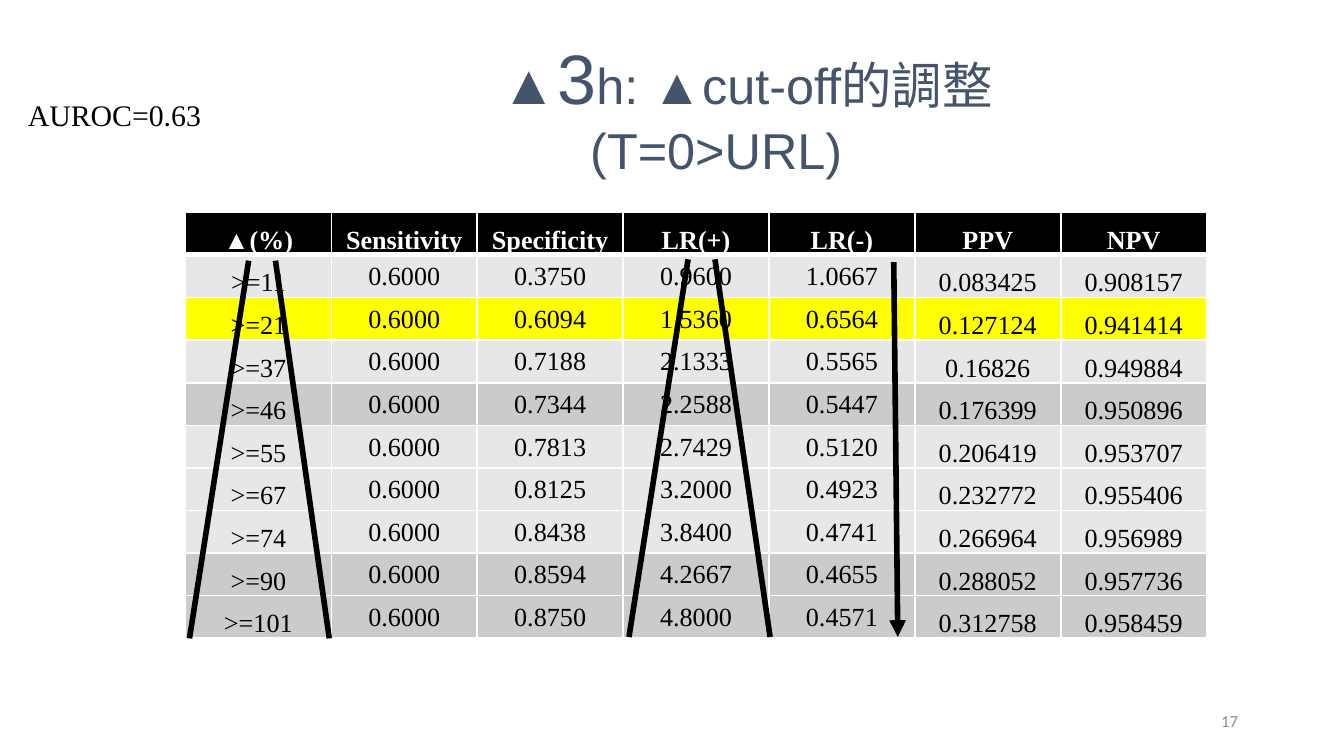
from lxml import etree
from pptx import Presentation
from pptx.dml.color import RGBColor
from pptx.enum.shapes import MSO_CONNECTOR
from pptx.enum.text import MSO_ANCHOR, PP_ALIGN
from pptx.oxml import parse_xml
from pptx.oxml.ns import nsdecls, qn
from pptx.util import Inches, Pt

CENTER, LEFT, RIGHT = PP_ALIGN.CENTER, PP_ALIGN.LEFT, PP_ALIGN.RIGHT
TOP, MIDDLE, BOTTOM = MSO_ANCHOR.TOP, MSO_ANCHOR.MIDDLE, MSO_ANCHOR.BOTTOM
STRAIGHT = MSO_CONNECTOR.STRAIGHT

SERIF, SANS, FOOTER = "Times New Roman", "Arial", "Calibri"
WHITE, BLACK, NAVY, GRAY = "FFFFFF", "000000", "44546A", "8C8C8C"
LIGHT, DARK, YELLOW = "E7E7E7", "CBCBCB", "FFFF00"

TITLE = [
    [("▲", 30), ("3", 37.5), ("h: ▲cut-off的調整", 27)],
    [("(T=0>URL)", 27)],
]
HEADER = ["▲(%)", "Sensitivity", "Specificity", "LR(+)", "LR(-)", "PPV", "NPV"]
CUTOFFS = [
    (LIGHT, ">=11", "0.6000", "0.3750", "0.9600", "1.0667", "0.083425", "0.908157"),
    (YELLOW, ">=21", "0.6000", "0.6094", "1.5360", "0.6564", "0.127124", "0.941414"),
    (LIGHT, ">=37", "0.6000", "0.7188", "2.1333", "0.5565", "0.16826", "0.949884"),
    (DARK, ">=46", "0.6000", "0.7344", "2.2588", "0.5447", "0.176399", "0.950896"),
    (LIGHT, ">=55", "0.6000", "0.7813", "2.7429", "0.5120", "0.206419", "0.953707"),
    (LIGHT, ">=67", "0.6000", "0.8125", "3.2000", "0.4923", "0.232772", "0.955406"),
    (LIGHT, ">=74", "0.6000", "0.8438", "3.8400", "0.4741", "0.266964", "0.956989"),
    (DARK, ">=90", "0.6000", "0.8594", "4.2667", "0.4655", "0.288052", "0.957736"),
    (DARK, ">=101", "0.6000", "0.8750", "4.8000", "0.4571", "0.312758", "0.958459"),
]
MIDDLE_COLUMNS = range(1, 5)
WEDGES = [
    [((5.12, 1.93), (4.68, 4.74)), ((5.32, 1.93), (5.73, 4.74))],
    [((1.85, 1.94), (1.41, 4.75)), ((2.05, 1.94), (2.45, 4.75))],
]
FALLING_ARROW = ((6.65, 1.95), (6.68, 4.74))


def rgb(color):
    return RGBColor.from_string(color)


def add_run(paragraph, text, size, font, color, bold=False):
    run = paragraph.add_run()
    run.text = text
    run.font.size = Pt(size)
    run.font.name = font
    run.font.bold = bold
    run.font.color.rgb = rgb(color)


def add_text(shapes, box, lines, font, color, align, anchor):
    frame = shapes.add_textbox(*map(Inches, box)).text_frame
    frame.word_wrap = True
    frame.vertical_anchor = anchor
    for index, line in enumerate(lines):
        paragraph = frame.add_paragraph() if index else frame.paragraphs[0]
        paragraph.alignment = align
        for text, size in line:
            add_run(paragraph, text, size, font, color)
    return frame


def add_line(shapes, start, end):
    line = shapes.add_connector(STRAIGHT, *map(Inches, start + end))
    line.line.color.rgb = rgb(BLACK)
    line.line.width = Pt(3)
    etree.SubElement(line._element.spPr, qn("a:effectLst"))
    return line


def set_borders(cell, top, bottom):
    sides = [("L", 1), ("R", 1), ("T", top), ("B", bottom)]
    for index, (side, width) in enumerate(sides):
        cell._tc.get_or_add_tcPr().insert(index, parse_xml(
            f'<a:ln{side} {nsdecls("a")} w="{Pt(width)}"><a:solidFill>'
            f'<a:srgbClr val="{WHITE}"/></a:solidFill></a:ln{side}>'))


def fill_cell(cell, text, row, column, fill):
    is_header = row == 0
    cell.margin_left = cell.margin_right = cell.margin_top = Inches(0.01)
    cell.margin_bottom = 0
    is_middle = not is_header and column in MIDDLE_COLUMNS
    cell.vertical_anchor = MIDDLE if is_middle else BOTTOM
    cell.fill.solid()
    cell.fill.fore_color.rgb = rgb(fill)
    set_borders(cell, 3 if row == 1 else 1, 3 if is_header else 1)
    paragraph = cell.text_frame.paragraphs[0]
    paragraph.alignment = CENTER
    color = WHITE if is_header else BLACK
    if text.startswith("▲"):
        add_run(paragraph, "▲", 14, SERIF, color)
        text = text[1:]
    add_run(paragraph, text, 14, SERIF, color, is_header)


def add_cutoff_table(shapes):
    rows = [(BLACK, *HEADER)] + CUTOFFS
    width, height = Inches(7.6), Inches(3.17)
    table = shapes.add_table(len(rows), len(HEADER), Inches(1.38), Inches(1.58),
                             width, height).table
    for column in table.columns:
        column.width = width // len(HEADER)
    for row, (fill, *values) in enumerate(rows):
        table.rows[row].height = height // len(rows)
        for column, text in enumerate(values):
            fill_cell(table.cell(row, column), text, row, column, fill)


def main():
    deck = Presentation()
    deck.slide_width = Inches(10)
    deck.slide_height = deck.slide_width * 9 // 16
    shapes = deck.slides.add_slide(deck.slide_layouts[6]).shapes

    add_text(shapes, (7.06, 5.21, 2.25, 0.3), [[("17", 9)]], FOOTER, GRAY, RIGHT, MIDDLE)
    add_cutoff_table(shapes)
    title = add_text(shapes, (1.93, 0.25, 6.8, 1.09), TITLE, SANS, NAVY, CENTER, MIDDLE)
    title.paragraphs[0]._p.get_or_add_pPr().set("marL", str(Inches(0.46)))

    arrow = add_line(shapes, *FALLING_ARROW)
    etree.SubElement(arrow.line._get_or_add_ln(), qn("a:tailEnd"), type="triangle")
    for wedge in WEDGES:
        group = shapes.add_group_shape()
        for start, end in wedge:
            add_line(group.shapes, start, end)

    add_text(shapes, (0.11, 0.67, 1.64, 0.37), [[("AUROC=0.63", 16)]],
             SERIF, BLACK, LEFT, TOP)
    deck.save("out.pptx")


if __name__ == "__main__":
    main()
